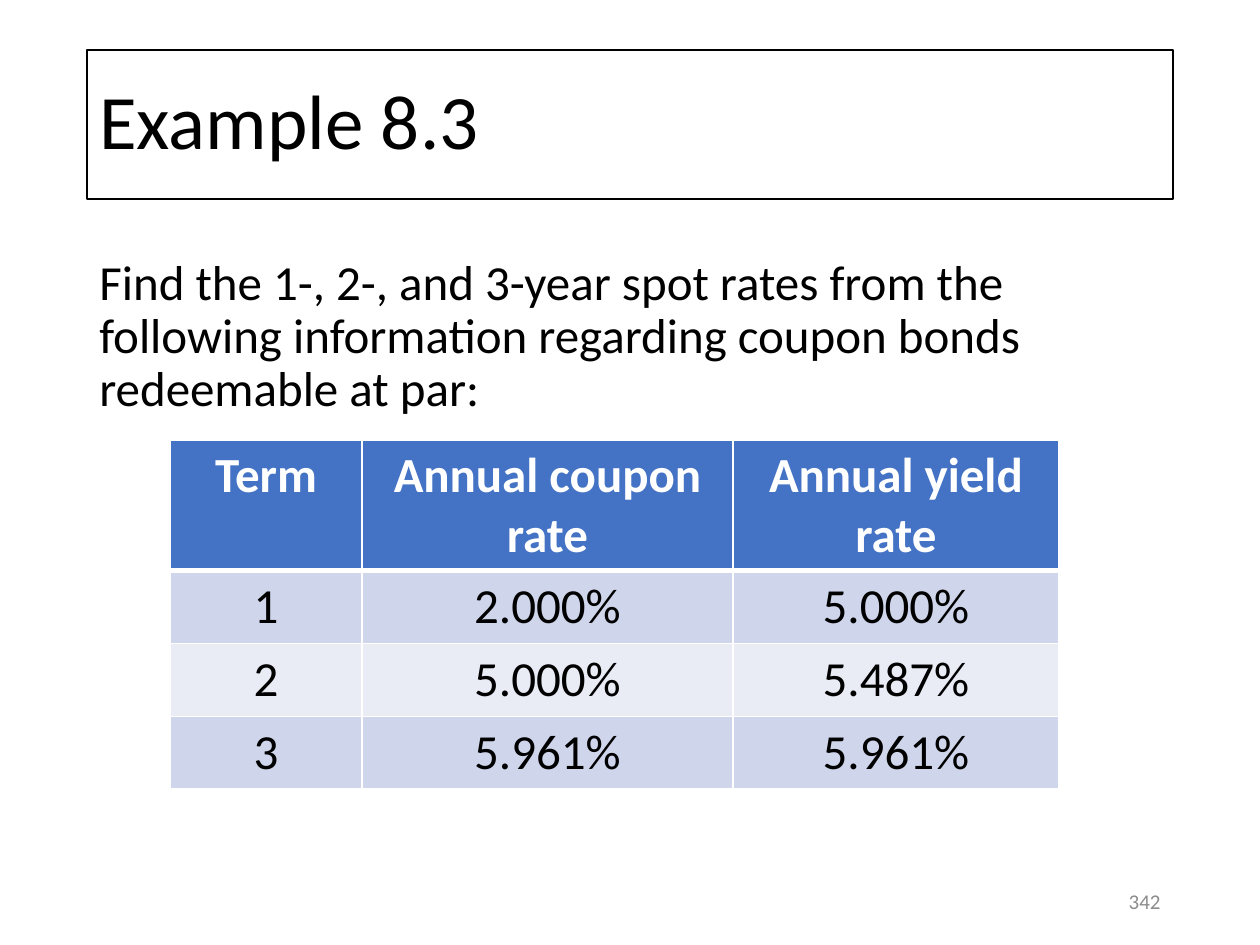
import pptx
import pptx.dml.color
import pptx.enum.shapes
import pptx.enum.text
import pptx.oxml
import pptx.oxml.ns
import pptx.util

ALIGN = pptx.enum.text.PP_ALIGN
ANCHOR = pptx.enum.text.MSO_ANCHOR
FONT = "Calibri"
COLS = [192, 371, 326]
HEAD, ROW = 130, 73
RATES = [
    ["Term", "Annual coupon rate", "Annual yield rate"],
    ["1", "2.000%", "5.000%"],
    ["2", "5.000%", "5.487%"],
    ["3", "5.961%", "5.961%"],
]


def px(n):
    return pptx.util.Emu(round(n * 914400 / 126))


def color(code):
    return pptx.dml.color.RGBColor.from_string(code)


def write(frame, text, size, code="000000", align=ALIGN.LEFT, bold=False, line=1.0):
    para = frame.paragraphs[0]
    para.alignment = align
    para.line_spacing = line
    run = para.add_run()
    run.text = text
    run.font.name = FONT
    run.font.size = pptx.util.Pt(size)
    run.font.bold = bold
    run.font.color.rgb = color(code)


def add_title(slide, text):
    box = slide.shapes.add_shape(
        pptx.enum.shapes.MSO_SHAPE.RECTANGLE, px(87), px(50), px(1086), px(149))
    box.shadow.inherit = False
    box.fill.background()
    box.line.color.rgb = color("000000")
    box.line.width = pptx.util.Pt(0.75)
    box.text_frame.word_wrap = True
    box.text_frame.vertical_anchor = ANCHOR.MIDDLE
    write(box.text_frame, text, 44, line=0.9)


def add_text(slide, area, text, size, anchor=ANCHOR.TOP, **style):
    frame = slide.shapes.add_textbox(*map(px, area)).text_frame
    frame.word_wrap = True
    frame.vertical_anchor = anchor
    write(frame, text, size, **style)


def border(cell, side, width):
    """Add a white edge; call before the cell is filled."""
    space = pptx.oxml.ns.nsdecls("a")
    cell._tc.get_or_add_tcPr().append(pptx.oxml.parse_xml(
        f'<a:ln{side} {space} w="{pptx.util.Pt(width)}"><a:solidFill>'
        f'<a:srgbClr val="FFFFFF"/></a:solidFill></a:ln{side}>'))


def add_rates(slide, left, top):
    tall = HEAD + ROW * (len(RATES) - 1)
    table = slide.shapes.add_table(
        len(RATES), len(COLS), px(left), px(top), px(sum(COLS)), px(tall)).table
    for col, wide in zip(table.columns, COLS):
        col.width = px(wide)
    for r, texts in enumerate(RATES):
        head = r == 0
        table.rows[r].height = px(HEAD if head else ROW)
        back = "4472C4" if head else ("E9EBF5", "CFD5EA")[r % 2]
        edges = {"L": 1, "R": 1, "T": 3 if r == 1 else 1, "B": 3 if head else 1}
        for c, text in enumerate(texts):
            cell = table.cell(r, c)
            for side, width in edges.items():
                border(cell, side, width)
            cell.fill.solid()
            cell.fill.fore_color.rgb = color(back)
            write(cell.text_frame, text, 28, "FFFFFF" if head else "000000",
                  ALIGN.CENTER, head)


def main():
    deck = pptx.Presentation()
    deck.slide_width, deck.slide_height = px(1260), px(945)
    slide = deck.slides.add_slide(deck.slide_layouts[6])
    add_title(slide, "Example 8.3")
    add_text(slide, (890, 876, 283, 50), "342", 12, ANCHOR.MIDDLE,
             code="8C8C8C", align=ALIGN.RIGHT)
    add_text(slide, (87, 252, 1086, 624),
             "Find the 1-, 2-, and 3-year spot rates from the following "
             "information regarding coupon bonds redeemable at par:", 28, line=0.9)
    add_rates(slide, 170, 440)
    deck.save("out.pptx")


if __name__ == "__main__":
    main()
